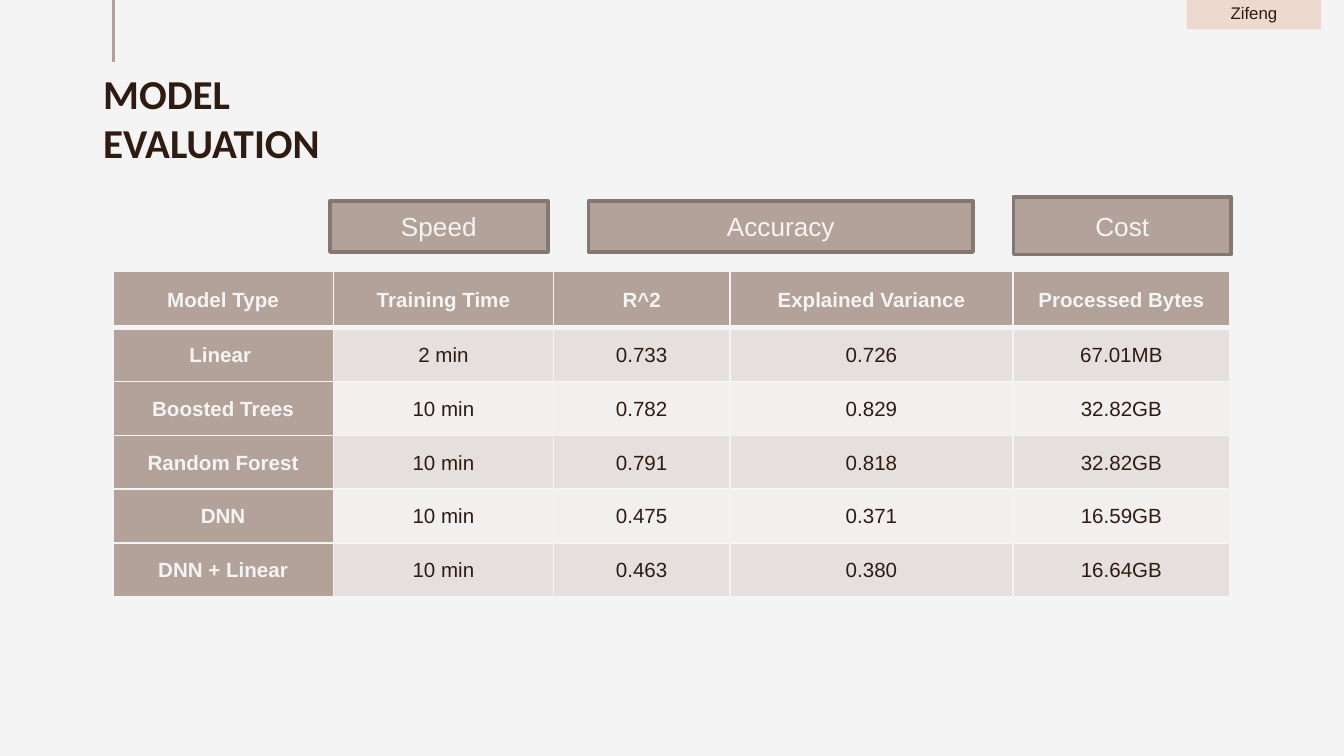
from dataclasses import dataclass

from lxml import etree
from pptx import Presentation
from pptx.dml.color import RGBColor
from pptx.enum.shapes import MSO_CONNECTOR, MSO_SHAPE
from pptx.enum.text import MSO_ANCHOR, PP_ALIGN
from pptx.oxml.ns import qn
from pptx.slide import Slide
from pptx.table import _Cell
from pptx.text.text import TextFrame
from pptx.util import Emu, Inches, Pt

RECT = MSO_SHAPE.RECTANGLE
LINE = MSO_CONNECTOR.STRAIGHT
LEFT, CENTER = PP_ALIGN.LEFT, PP_ALIGN.CENTER
TOP, MIDDLE, BOTTOM = MSO_ANCHOR.TOP, MSO_ANCHOR.MIDDLE, MSO_ANCHOR.BOTTOM

PAPER = RGBColor(0xF4, 0xF4, 0xF4)
INK = RGBColor(0x2E, 0x1B, 0x11)
TAUPE = RGBColor(0xB3, 0xA2, 0x9A)
EDGE = RGBColor(0x84, 0x78, 0x72)
BLUSH = RGBColor(0xED, 0xD9, 0xCF)
BANDS = (RGBColor(0xE5, 0xE0, 0xDE), RGBColor(0xF2, 0xF0, 0xEF))

UNIT = Inches(0.1)
WIDE, HIGH = 100, 56.25


@dataclass
class Area:
    col: float
    row: float
    cols: float
    rows: float


@dataclass
class Style:
    size: float
    color: RGBColor
    bold: bool = False
    name: str = "Arial"


@dataclass
class Box:
    text: str
    area: Area
    style: Style
    fill: RGBColor
    edge: RGBColor | None = None
    anchor: MSO_ANCHOR = MIDDLE


LABEL = Style(14, PAPER)
BOXES = [
    Box("Zifeng", Area(88.3, -0.8, 10, 3), Style(9, INK), BLUSH, anchor=BOTTOM),
    Box("Speed", Area(24.55, 14.95, 16.2, 3.8), LABEL, TAUPE, EDGE),
    Box("Accuracy", Area(43.8, 14.95, 28.6, 3.8), LABEL, TAUPE, EDGE),
    Box("Cost", Area(75.4, 14.65, 16.2, 4.3), LABEL, TAUPE, EDGE),
]

GRID = Area(8.4, 20.2, 83.1, 24.2)
COLS = (16.4, 16.4, 13.1, 21.1, 16.1)
HEAD_ROW, BODY_ROW = 4.2, 4
DATA = [
    ("Model Type", "Training Time", "R^2", "Explained Variance", "Processed Bytes"),
    ("Linear ", "2 min", "0.733", "0.726", "67.01MB"),
    ("Boosted Trees", "10 min", "0.782", "0.829", "32.82GB"),
    ("Random Forest", "10 min", "0.791", "0.818", "32.82GB"),
    ("DNN", "10 min", "0.475", "0.371", "16.59GB"),
    ("DNN + Linear", "10 min", "0.463", "0.380", "16.64GB"),
]


def span(count: float) -> Emu:
    return Emu(round(count * UNIT))


def place(area: Area) -> tuple[Emu, ...]:
    return tuple(map(span, (area.col, area.row, area.cols, area.rows)))


def apply(target: object, values: dict) -> None:
    for key, value in values.items():
        setattr(target, key, value)


def write(frame: TextFrame, text: str, style: Style, format: dict) -> None:
    para = frame.paragraphs[0]
    apply(para, format)
    run = para.add_run()
    run.text = text
    apply(run.font, {"size": Pt(style.size), "bold": style.bold, "name": style.name})
    run.font.color.rgb = style.color


def add_title(slide: Slide) -> None:
    frame = slide.shapes.add_textbox(*place(Area(6.7, 4.1, 28, 10.3))).text_frame
    sides = ("margin_left", "margin_top", "margin_right", "margin_bottom")
    apply(frame, {"word_wrap": True, "vertical_anchor": TOP, **dict.fromkeys(sides, span(1))})
    write(frame, "MODEL EVALUATION", Style(22, INK, True, "Calibri"), {"alignment": LEFT})


def add_rule(slide: Slide) -> None:
    rule = slide.shapes.add_connector(LINE, span(8.45), span(-0.3), span(8.45), span(4.6))
    rule.line.color.rgb = TAUPE
    rule.line.width = Pt(1.5)
    etree.SubElement(rule._element.spPr, qn("a:effectLst"))


def add_box(slide: Slide, box: Box) -> None:
    shape = slide.shapes.add_shape(RECT, *place(box.area))
    shape.shadow.inherit = False
    shape.fill.solid()
    shape.fill.fore_color.rgb = box.fill
    if box.edge:
        shape.line.color.rgb = box.edge
        shape.line.width = Pt(2)
    else:
        shape.line.fill.background()
    apply(shape.text_frame, {"word_wrap": True, "vertical_anchor": box.anchor})
    write(shape.text_frame, box.text, box.style, {"alignment": CENTER})


def add_edge(cell: _Cell, side: str, width: float) -> None:
    line = etree.SubElement(cell._tc.get_or_add_tcPr(), qn(f"a:ln{side}"), w=str(Pt(width)))
    fill = etree.SubElement(line, qn("a:solidFill"))
    etree.SubElement(fill, qn("a:srgbClr"), val=str(PAPER))


def fill_cell(cell: _Cell, row: int, col: int) -> None:
    head = row == 0 or col == 0
    thick = {(0, "B"), (1, "T")}
    for side in "LRTB":
        add_edge(cell, side, 3 if (row, side) in thick else 1)
    cell.fill.solid()
    cell.fill.fore_color.rgb = TAUPE if head else BANDS[(row - 1) % 2]
    apply(cell, {
        "vertical_anchor": MIDDLE,
        "margin_left": span(0.7),
        "margin_right": span(0.7),
        "margin_top": 0,
        "margin_bottom": 0,
    })
    style = Style(11, PAPER if head else INK, head)
    format = {"alignment": CENTER, "line_spacing": 1.07, "space_after": Pt(8)}
    write(cell.text_frame, DATA[row][col], style, format)


def add_grid(slide: Slide) -> None:
    table = slide.shapes.add_table(len(DATA), len(COLS), *place(GRID)).table
    for col, width in zip(table.columns, COLS):
        col.width = span(width)
    for row, line in enumerate(table.rows):
        line.height = span(BODY_ROW if row else HEAD_ROW)
        for col, cell in enumerate(line.cells):
            fill_cell(cell, row, col)


def main() -> None:
    deck = Presentation()
    apply(deck, {"slide_width": span(WIDE), "slide_height": span(HIGH)})
    slide = deck.slides.add_slide(deck.slide_layouts[6])
    slide.background.fill.solid()
    slide.background.fill.fore_color.rgb = PAPER
    add_title(slide)
    add_rule(slide)
    for box in BOXES:
        add_box(slide, box)
    add_grid(slide)
    deck.save("out.pptx")


if __name__ == "__main__":
    main()
